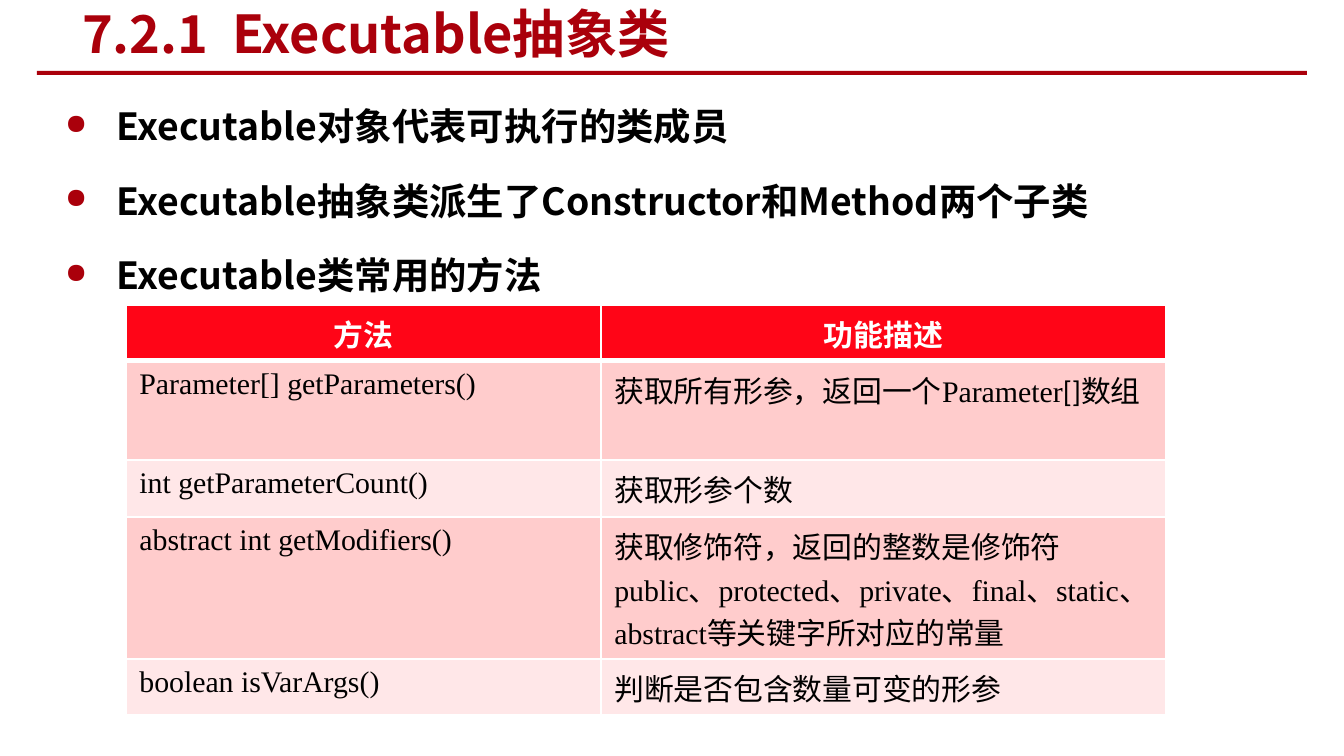
from pptx import Presentation, util as u
from pptx.dml.color import RGBColor
from pptx.enum import shapes, text
from pptx.oxml import parse_xml
from pptx.oxml.ns import nsdecls, qn

# Content
TITLE = "7.2.1  Executable抽象类"
BULLETS = [
    "Executable对象代表可执行的类成员",
    "Executable抽象类派生了Constructor和Method两个子类",
    "Executable类常用的方法",
]
HEADER = ["方法", "功能描述"]
# Each description is a list of (text, font role) runs
METHODS = [
    ("Parameter[] getParameters()",
     [("获取所有形参，返回一个", "table"), ("Parameter", "code"), ("[]数组", "table")]),
    ("int getParameterCount()", [("获取形参个数", "table")]),
    ("abstract int getModifiers()",
     [("获取修饰符，返回的整数是修饰符public、protected、private、final、"
       "static、abstract等关键字所对应的常量", "code")]),
    ("boolean isVarArgs()", [("判断是否包含数量可变的形参", "table")]),
]

THEME = {
    "color": {"accent": "AA000B", "text": "000000", "white": "FFFFFF",
              "header": "FF0517", "bands": ("FFCCCC", "FFE7E8")},
    "size": {"title": 28, "body": 20, "table": 16},
    "font": {"heading": "Noto Sans CJK SC", "table": "Calibri",
             "code": "Times New Roman"},
}
COLOR, SIZE, FONT = THEME["color"], THEME["size"], THEME["font"]

# Layout in px
SLIDE = (1344, 756)
RULE = (37, 71, 1270, 4)
TITLE_BOX = (69, 3, 921, 60)
BODY_BOX = (52, 74, 1207, 620)
TABLE_AT = (126, 305)
COLUMNS = (475, 565)
ROWS = (56, 99, 57, 142, 56)
BULLET_INDENT = 51


def px(n):
    return u.Emu(round(n * 914400 / 134.4))


def box(values):
    return [px(v) for v in values]


def add_run(p, content, font, size, color, bold=False):
    r = p.add_run()
    r.text = content
    f = r.font
    f.name, f.size, f.bold = FONT[font], u.Pt(SIZE[size]), bold
    f.color.rgb = RGBColor.from_string(COLOR[color])
    if font == "heading":
        r._r.get_or_add_rPr().find(qn("a:latin")).addnext(
            parse_xml(f'<a:ea {nsdecls("a")} typeface="{FONT[font]}"/>'))


def add_textbox(s, at):
    tf = s.shapes.add_textbox(*box(at)).text_frame
    tf.word_wrap = True
    return tf


def add_bullet(p):
    pPr = p._p.get_or_add_pPr()
    pPr.set("marL", str(px(BULLET_INDENT)))
    pPr.set("indent", str(-px(BULLET_INDENT)))
    pPr.append(parse_xml(f'<a:buClr {nsdecls("a")}>'
                         f'<a:srgbClr val="{COLOR["accent"]}"/></a:buClr>'))
    pPr.append(parse_xml(f'<a:buSzPct {nsdecls("a")} val="75000"/>'))
    pPr.append(parse_xml(f'<a:buChar {nsdecls("a")} char="●"/>'))


def style_cell(cell, fill, widths):
    cell.fill.solid()
    cell.fill.fore_color.rgb = RGBColor.from_string(fill)
    tcPr = cell._tc.get_or_add_tcPr()
    for i, (side, width) in enumerate(zip("LRTB", widths)):
        tcPr.insert(i, parse_xml(
            f'<a:ln{side} {nsdecls("a")} w="{u.Pt(width)}"><a:solidFill>'
            f'<a:srgbClr val="{COLOR["white"]}"/></a:solidFill></a:ln{side}>'))


def main():
    prs = Presentation()
    prs.slide_width, prs.slide_height = box(SLIDE)
    s = prs.slides.add_slide(prs.slide_layouts[6])

    # Rule under the title
    rule = s.shapes.add_shape(shapes.MSO_SHAPE.RECTANGLE, *box(RULE))
    rule.shadow.inherit = False
    rule.fill.solid()
    rule.fill.fore_color.rgb = RGBColor.from_string(COLOR["accent"])
    rule.line.fill.background()

    # Bullets
    tf = add_textbox(s, BODY_BOX)
    for i, bullet in enumerate(BULLETS):
        p = tf.add_paragraph() if i else tf.paragraphs[0]
        p.line_spacing, p.space_before = 1.5, u.Pt(4)
        add_bullet(p)
        add_run(p, bullet, "heading", "body", "text", bold=True)

    # Title
    tf = add_textbox(s, TITLE_BOX)
    tf.vertical_anchor = text.MSO_ANCHOR.MIDDLE
    add_run(tf.paragraphs[0], TITLE, "heading", "title", "accent", bold=True)

    # Method table
    table = s.shapes.add_table(len(ROWS), len(COLUMNS), *box(
        (*TABLE_AT, sum(COLUMNS), sum(ROWS)))).table
    for column, width in zip(table.columns, COLUMNS):
        column.width = px(width)
    for row, height in zip(table.rows, ROWS):
        row.height = px(height)

    for c, label in enumerate(HEADER):
        cell = table.cell(0, c)
        style_cell(cell, COLOR["header"], (1, 1, 1, 3))
        p = cell.text_frame.paragraphs[0]
        p.alignment = text.PP_ALIGN.CENTER
        add_run(p, label, "table", "table", "white", bold=True)

    for i, (method, description) in enumerate(METHODS):
        for c, runs in enumerate(([(method, "code")], description)):
            cell = table.cell(i + 1, c)
            style_cell(cell, COLOR["bands"][i % 2], (1, 1, 1 if i else 3, 1))
            for content, font in runs:
                add_run(cell.text_frame.paragraphs[0], content, font,
                        "table", "text")

    prs.save("out.pptx")


if __name__ == "__main__":
    main()
